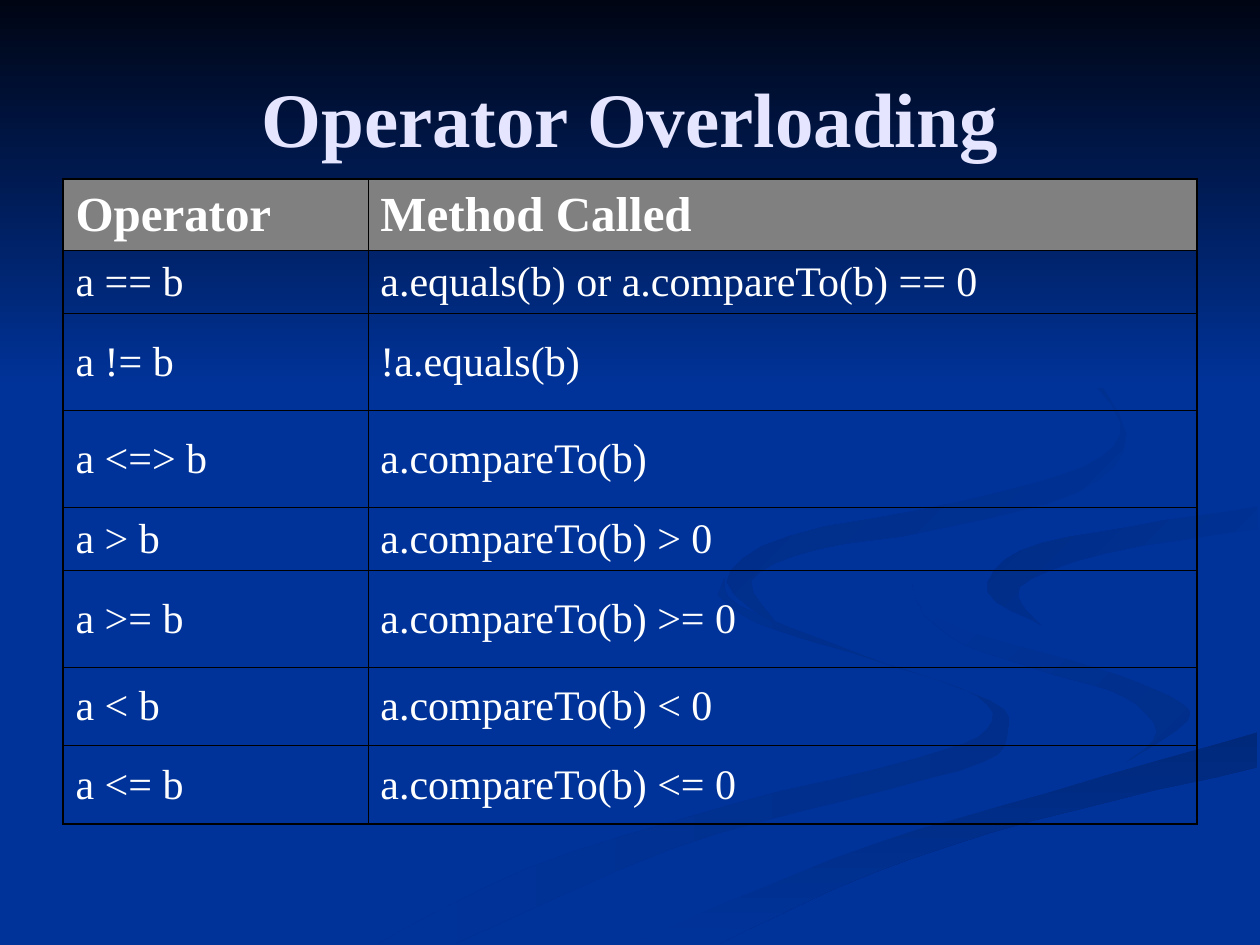
from lxml import etree
from pptx import Presentation
from pptx.dml.color import RGBColor
from pptx.enum.text import MSO_ANCHOR, PP_ALIGN
from pptx.oxml.ns import qn
from pptx.util import Inches, Pt

MID = MSO_ANCHOR.MIDDLE
LEFT, CENTER = PP_ALIGN.LEFT, PP_ALIGN.CENTER
FONT = "Times New Roman"
HEX = {
    "back": "003399", "night": "000514", "title": "E5E5FF", "text": "FFFFFF",
    "head": "808080", "line": "000000", "curl": "002E8A", "sweep": "00297C",
    "hook": "002C85", "wave": "002B81",
}
WIDE, HIGH = Inches(10), Inches(7.5)
UNIT = Inches(0.01)
STEPS = 4

TITLE = "Operator Overloading"
ROWS = [
    ("Operator", "Method Called"),
    ("a == b", "a.equals(b) or a.compareTo(b) == 0"),
    ("a != b", "!a.equals(b)"),
    ("a <=> b", "a.compareTo(b)"),
    ("a > b", "a.compareTo(b) > 0"),
    ("a >= b", "a.compareTo(b) >= 0"),
    ("a < b", "a.compareTo(b) < 0"),
    ("a <= b", "a.compareTo(b) <= 0"),
]
COLS = [0.242, 0.658]
TALL = [0.57, 0.5, 0.77, 0.77, 0.5, 0.77, 0.62, 0.62]
EDGE, RULE, SPLIT = 0.96, 0.45, 0.34

CURVES = {
    "outer": [(575, 459), (587, 481), (682, 519), (786, 556), (800, 581),
              (780, 605), (676, 634), (532, 674), (361, 749)],
    "inner": [(300, 749), (417, 690), (579, 639), (727, 602), (783, 579),
              (776, 553), (697, 525), (602, 495), (570, 472)],
    "rim": [(724, 464), (733, 483), (774, 503), (870, 530), (930, 553),
            (943, 572), (894, 605)],
    "fold": [(894, 605), (918, 581), (892, 553), (838, 536), (766, 512),
             (733, 488)],
    "crest": [(503, 749), (569, 719), (696, 669), (832, 629), (998, 581)],
    "base": [(998, 609), (821, 651), (695, 692), (571, 749)],
    "tail": [(894, 605), (780, 638), (663, 668), (573, 703), (477, 749)],
    "foot": [(998, 538), (904, 519), (826, 496)],
    "crook": [(826, 496), (784, 470), (810, 437), (898, 418), (998, 402)],
    "lid": [(998, 387), (851, 411), (755, 432), (725, 464)],
    "eye": [(998, 420), (878, 439), (809, 466), (826, 496)],
    "crown": [(762, 233), (843, 275), (894, 344), (855, 391), (739, 421),
              (649, 436), (596, 461), (622, 500)],
    "belly": [(622, 500), (577, 462), (625, 426), (763, 398), (861, 370),
              (889, 335), (846, 279)],
    "top": [(0, 0), (1000, 0)],
    "floor": [(1000, 308), (0, 308)],
}
SHAPES = [
    ("curl", "back", 180, ["outer", "inner"]),
    ("curl", "back", 225, ["rim", "fold"]),
    ("sweep", "back", 90, ["crest", "base"]),
    ("back", None, 0, ["rim", "tail", "crest", "foot", "crook", "lid"]),
    ("back", "hook", 225, ["crook", "eye"]),
    ("back", "wave", 225, ["crown", "belly"]),
    ("night", "back", 90, ["top", "floor"]),
]


def tint(name):
    return RGBColor.from_string(HEX[name])


def write(frame, text, size=24, color="text", bold=False, align=LEFT):
    frame.word_wrap = True
    para = frame.paragraphs[0]
    para.alignment = align
    run = para.add_run()
    run.text = text
    font = run.font
    font.name, font.size, font.bold = FONT, Pt(size), bold
    font.color.rgb = tint(color)


def bend(knots):
    if len(knots) == 2:
        return knots
    ends = [knots[0], *knots, knots[-1]]
    dots = []
    for four in zip(ends, ends[1:], ends[2:], ends[3:]):
        for step in range(STEPS):
            t = step / STEPS
            dots.append(tuple(
                b + t * (c - a + t * (2 * a - 5 * b + 4 * c - d
                                      + t * (3 * b - a - 3 * c + d))) / 2
                for a, b, c, d in zip(*four)))
    return dots + [knots[-1]]


def draw(slide, start, end, turn, names):
    dots = [dot for name in names for dot in bend(CURVES[name])]
    pen = slide.shapes.build_freeform(*dots[0], scale=UNIT)
    pen.add_line_segments(dots[1:], close=True)
    shape = pen.convert_to_shape()
    shape.shadow.inherit = False
    shape.line.fill.background()
    fill = shape.fill
    if end is None:
        fill.solid()
        fill.fore_color.rgb = tint(start)
        return
    fill.gradient()
    fill.gradient_angle = 360 - turn
    for stop, name, place in zip(fill.gradient_stops, (start, end), (0, 1)):
        stop.color.rgb = tint(name)
        stop.position = place


def border(cell, sides):
    props = cell._tc.get_or_add_tcPr()
    for at, (tag, width) in enumerate(sides.items()):
        line = etree.Element(qn("a:" + tag), w=str(Pt(width)))
        fill = etree.SubElement(line, qn("a:solidFill"))
        etree.SubElement(fill, qn("a:srgbClr"), val=HEX["line"])
        props.insert(at, line)


def grid(slide):
    table = slide.shapes.add_table(
        len(ROWS), len(COLS), int(WIDE * 0.05), Inches(1.42),
        int(WIDE * sum(COLS)), Inches(sum(TALL))).table
    table.first_row = table.horz_banding = False
    for col, share in zip(table.columns, COLS):
        col.width = int(WIDE * share)
    for r, (words, tall) in enumerate(zip(ROWS, TALL)):
        table.rows[r].height = Inches(tall)
        top = r == 0
        for c, text in enumerate(words):
            cell = table.cell(r, c)
            cell.vertical_anchor = MID
            if top:
                cell.fill.solid()
                cell.fill.fore_color.rgb = tint("head")
            else:
                cell.fill.background()
            write(cell.text_frame, text, size=28 if top else 24, bold=top)
            border(cell, {
                "lnL": EDGE if c == 0 else SPLIT,
                "lnR": EDGE if c == len(COLS) - 1 else SPLIT,
                "lnT": EDGE if top else RULE,
                "lnB": EDGE if r == len(ROWS) - 1 else RULE,
            })


def main():
    deck = Presentation()
    deck.slide_width, deck.slide_height = WIDE, HIGH
    slide = deck.slides.add_slide(deck.slide_layouts[6])
    back = slide.background.fill
    back.solid()
    back.fore_color.rgb = tint("back")
    for item in SHAPES:
        draw(slide, *item)
    box = slide.shapes.add_textbox(
        int(WIDE * 0.05), int(HIGH * 0.04), int(WIDE * 0.9), Inches(1.25))
    box.text_frame.vertical_anchor = MID
    write(box.text_frame, TITLE, size=44, color="title", bold=True, align=CENTER)
    grid(slide)
    deck.save("out.pptx")


if __name__ == "__main__":
    main()
